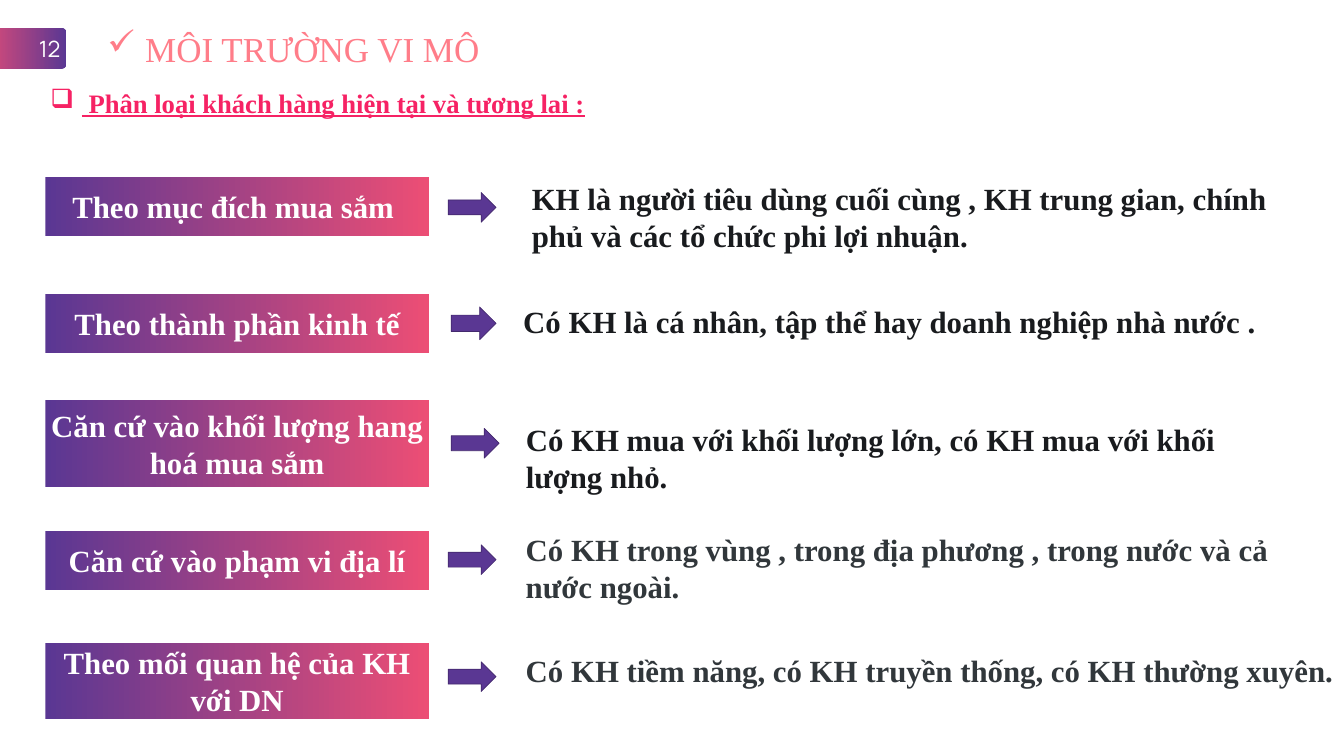
from lxml import etree
from pptx import Presentation
from pptx import util as u
from pptx.dml.color import RGBColor
from pptx.enum import shapes, text
from pptx.oxml.ns import qn

PURPLE, PINK, DARK, GREY = "5A3793", "EC4E75", "191B1E", "31373B"
SERIF = "Times New Roman"
LABEL_LEFT, LABEL_WIDTH = 64.8, 547.9

# label, its top and height; arrow left, top, width, height;
# description, its left, top, width, height and colour
ROWS = [
    (("Theo mục đích mua sắm ", 252.7, 85),
     (640.1, 275, 68.4, 42.5),
     ("KH là người tiêu dùng cuối cùng , KH trung gian, chính phủ và các tổ chức phi lợi nhuận.",
      (752.4, 252.7, 1112.4, 113.8), DARK)),
    (("Theo thành phần kinh tế", 419.8, 85),
     (644.4, 438.5, 64.1, 46.8),
     ("Có KH là cá nhân, tập thể hay doanh nghiệp nhà nước .",
      (740.2, 429.1, 1167.1, 60.5), DARK)),
    (("Căn cứ vào khối lượng hang hoá mua sắm", 571, 125.3),
     (644.4, 612, 68.4, 42.5),
     ("Có KH mua với khối lượng lớn, có KH mua với khối lượng nhỏ.",
      (743.8, 596.9, 1112.4, 113.8), DARK)),
    (("Căn cứ vào phạm vi địa lí", 758.2, 85),
     (640.1, 778.3, 68.4, 42.5),
     ("Có KH trong vùng , trong địa phương , trong nước và cả nước ngoài.",
      (743.8, 755.3, 1090.1, 113.8), GREY)),
    (("Theo mối quan hệ của KH với DN", 918, 108.7),
     (640.1, 945.4, 68.4, 42.5),
     ("Có KH tiềm năng, có KH truyền thống, có KH thường xuyên.",
      (743.8, 927.4, 1202.4, 60.5), GREY)),
]


def rgb(value):
    return RGBColor.from_string(value)


class SlideBuilder:
    """Holds the text style and the slide being drawn."""

    style = {"name": SERIF, "size": u.Pt(44), "bold": True}

    def __init__(self, slide):
        self.slide = slide

    def set_text(self, shape, words, color, align, bullet=None, **changes):
        """Fill a shape with one paragraph; bullet is (character, indent)."""
        frame = shape.text_frame
        frame.word_wrap = True
        paragraph = frame.paragraphs[0]
        paragraph.alignment = align
        if bullet:
            character, indent = bullet
            properties = paragraph._p.get_or_add_pPr()
            properties.set("marL", str(u.Pt(indent)))
            properties.set("indent", str(-u.Pt(indent)))
            etree.SubElement(properties, qn("a:buChar")).set("char", character)
        run = paragraph.add_run()
        run.text = words
        for name, value in {**self.style, **changes}.items():
            setattr(run.font, name, value)
        run.font.color.rgb = rgb(color)

    def textbox(self, box, words, color, align=text.PP_ALIGN.LEFT, **options):
        shape = self.slide.shapes.add_textbox(*map(u.Pt, box))
        self.set_text(shape, words, color, align, **options)

    def shape(self, kind, box):
        shape = self.slide.shapes.add_shape(kind, *map(u.Pt, box))
        shape.shadow.inherit = False
        return shape

    def gradient_box(self, kind, box, words, align, angle=0, **options):
        shape = self.shape(kind, box)
        shape.line.fill.background()
        shape.fill.gradient()
        shape.fill.gradient_angle = angle
        for stop, color in zip(shape.fill.gradient_stops, (PURPLE, PINK)):
            stop.color.rgb = rgb(color)
        shape.text_frame.vertical_anchor = text.MSO_ANCHOR.MIDDLE
        self.set_text(shape, words, "FFFFFF", align, **options)
        return shape

    def arrow(self, box):
        shape = self.shape(shapes.MSO_SHAPE.RIGHT_ARROW, box)
        shape.fill.solid()
        shape.fill.fore_color.rgb = rgb(PURPLE)
        shape.line.color.rgb = rgb("43296D")
        shape.line.width = u.Pt(1)


def main():
    presentation = Presentation()
    presentation.slide_width = u.Pt(1919.5)
    presentation.slide_height = u.Pt(1080)
    builder = SlideBuilder(presentation.slides.add_slide(presentation.slide_layouts[6]))

    builder.textbox((-61.2, 35.3, 973.4, 67.7), "MÔI TRƯỜNG VI MÔ ", "FF7D89",
                    text.PP_ALIGN.CENTER, bullet=("✓", 54), size=u.Pt(50), bold=False)
    badge = builder.gradient_box(shapes.MSO_SHAPE.ROUNDED_RECTANGLE,
                                 (-36.7, 40.3, 131.8, 57.6), "12", text.PP_ALIGN.RIGHT,
                                 angle=180, name="Manrope", size=u.Pt(32), bold=False)
    badge.adjustments[0] = 0.11
    builder.textbox((64.8, 120.2, 798.5, 53.3),
                    " Phân loại khách hàng hiện tại và tương lai :", "F62264",
                    bullet=("❑", 45), size=u.Pt(38), underline=True)

    for (label, top, height), arrow, (description, box, color) in ROWS:
        builder.gradient_box(shapes.MSO_SHAPE.RECTANGLE,
                             (LABEL_LEFT, top, LABEL_WIDTH, height),
                             label, text.PP_ALIGN.CENTER)
        builder.arrow(arrow)
        builder.textbox(box, description, color)

    presentation.save("out.pptx")


if __name__ == "__main__":
    main()
